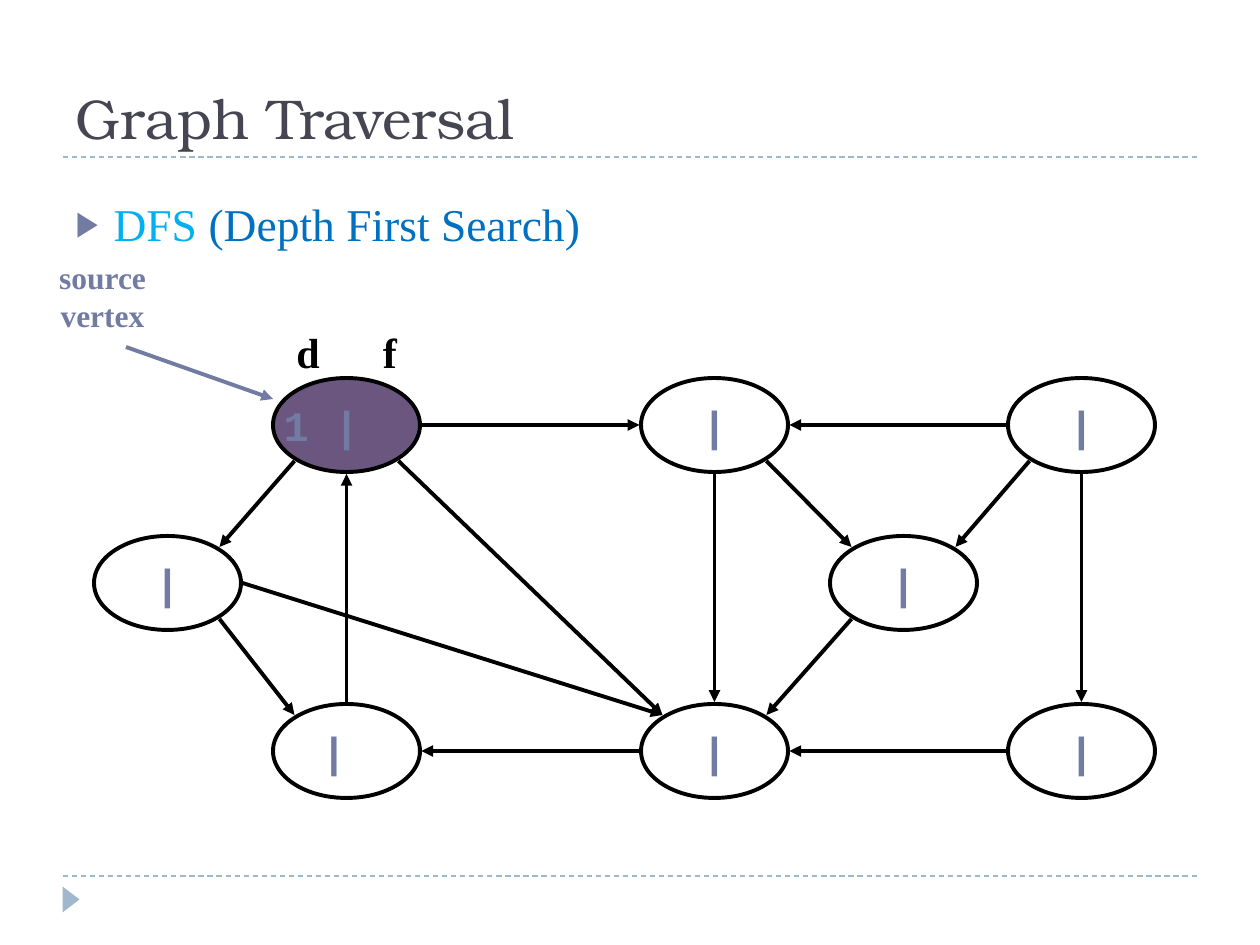
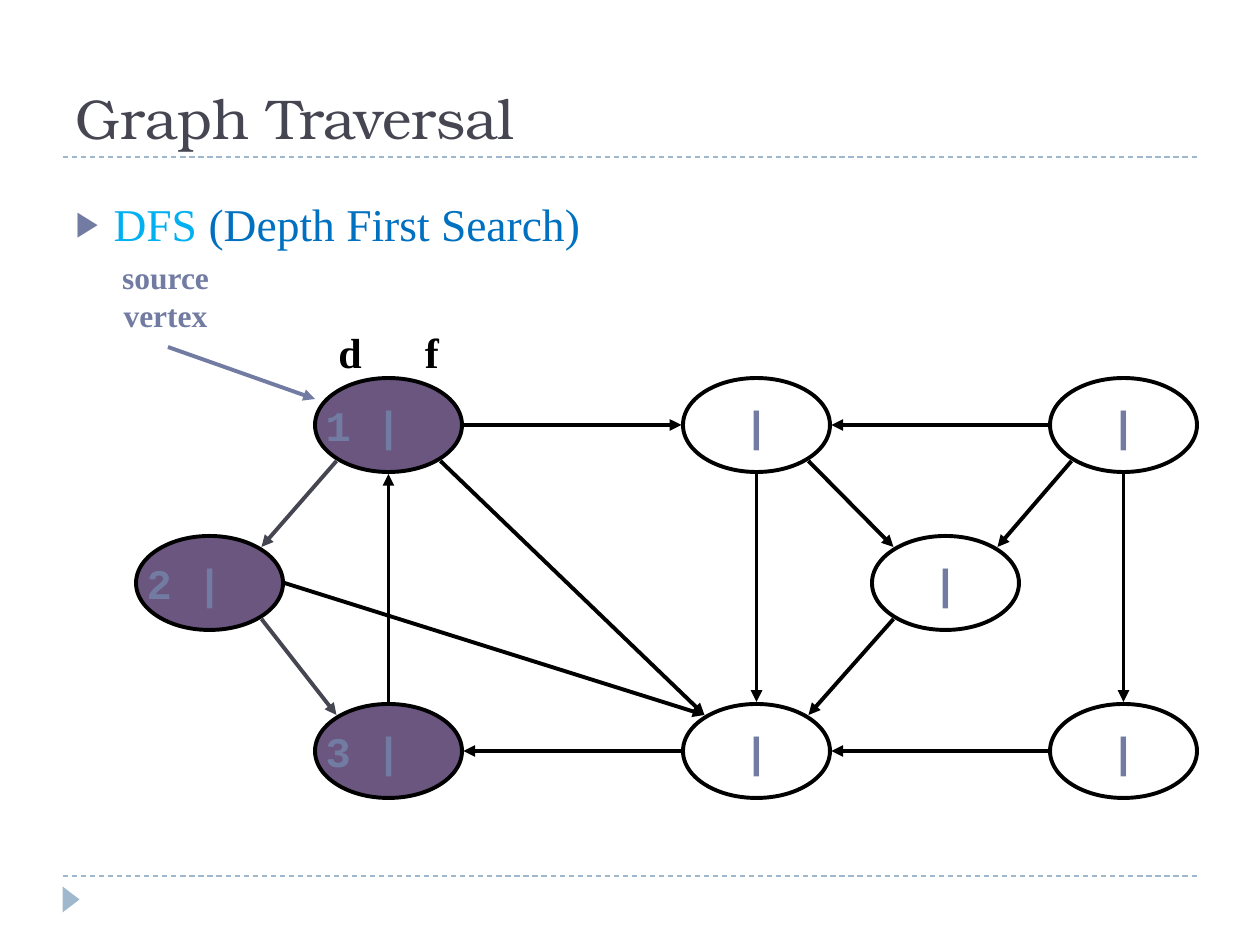
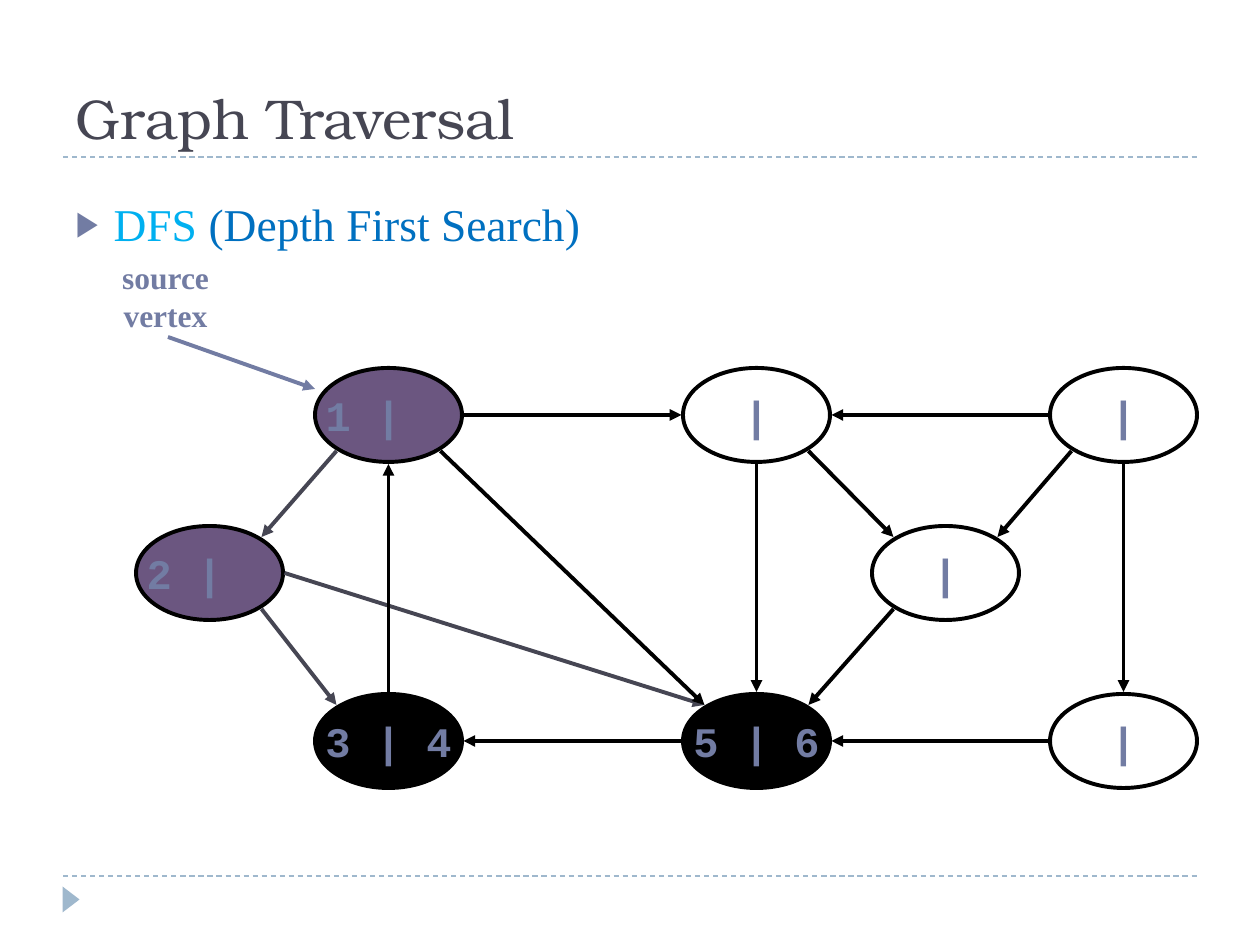
from lxml import etree
from pptx import Presentation
from pptx.dml.color import RGBColor
from pptx.enum.dml import MSO_LINE
from pptx.enum.shapes import MSO_CONNECTOR, MSO_SHAPE
from pptx.enum.text import MSO_ANCHOR as ANCHOR, PP_ALIGN as ALIGN
from pptx.oxml.ns import qn
from pptx.util import Pt

EMU_PER_PX = 914400 / 126

COLORS = {
    "title": "464653", "accent": "727CA3", "rule": "9FB8CD",
    "cyan": "00B0F0", "blue": "0070C0", "black": "000000",
    "visited": "6B5680", "finished": "000000", "explored": "464653",
}
TITLE_FONT, TEXT_FONT, LABEL_FONT = "TeX Gyre Bonum", "Times New Roman", "Courier New"

NODE_W, NODE_H = 147, 94
CHAR_W = 25  # one character of a vertex label

# Offset of each vertex from the source vertex
VERTICES = {
    "source": (0, 0), "top": (368, 0), "top right": (735, 0),
    "bottom right": (735, 326), "bottom": (368, 326), "bottom left": (0, 326),
    "left": (-179, 158), "middle": (557, 158),
}
EDGES = [
    ("source", "sw", "left", "ne"), ("left", "se", "bottom left", "nw"),
    ("left", "e", "bottom", "nw"), ("bottom", "w", "bottom left", "e"),
    ("bottom left", "n", "source", "s"), ("source", "se", "bottom", "nw"),
    ("top", "s", "bottom", "n"), ("source", "e", "top", "w"),
    ("top right", "w", "top", "e"), ("top", "se", "middle", "nw"),
    ("top right", "sw", "middle", "ne"), ("top right", "s", "bottom right", "n"),
    ("bottom right", "w", "bottom", "e"), ("middle", "sw", "bottom", "ne"),
]


def px(length):
    return round(length * EMU_PER_PX)


def rgb(name):
    return RGBColor.from_string(COLORS[name])


def write(paragraph, text, size=24, font=TEXT_FONT, color="black", bold=False, align=None):
    """Append formatted text; a newline becomes a line break."""
    if align is not None:
        paragraph.alignment = align
    for number, line in enumerate(text.split("\n")):
        if number:
            paragraph.add_line_break()
        run = paragraph.add_run()
        run.text = line
        run.font.size, run.font.name, run.font.bold = Pt(size), font, bold
        run.font.color.rgb = rgb(color)


def place(shape, x, y, w, h):
    shape.left, shape.top, shape.width, shape.height = map(px, (x, y, w, h))


def port(corner, side):
    """Point just outside a vertex in a compass direction."""
    east = ("e" in side) - ("w" in side)
    south = ("s" in side) - ("n" in side)
    reach_x, reach_y = (52, 36) if east and south else (75, 49)
    x, y = corner
    return x + NODE_W / 2 + east * reach_x, y + NODE_H / 2 + south * reach_y


class Deck:
    def __init__(self):
        self.prs = Presentation()
        self.prs.slide_width, self.prs.slide_height = px(1260), px(945)
        self.slide = None

    def new_slide(self, title):
        self.slide = self.prs.slides.add_slide(self.prs.slide_layouts[1])
        for y in (876, 157):
            self.line((63, y), (1197, y), color="rule", width=0.75, dashed=True)
        marker = self.shape(MSO_SHAPE.ISOSCELES_TRIANGLE, 58, 891, 26, 17, fill="rule")
        marker.rotation = 90
        heading = self.slide.shapes.title
        place(heading, 63, 21, 1134, 136)
        heading.text_frame.vertical_anchor = ANCHOR.BOTTOM
        write(heading.text_frame.paragraphs[0], title, size=32, font=TITLE_FONT,
              color="title", align=ALIGN.LEFT)

    def bullet(self, parts):
        body = self.slide.placeholders[1]
        place(body, 63, 116, 1134, 734)
        body.text_frame.margin_top = px(80)
        paragraph = body.text_frame.paragraphs[0]
        paragraph.space_before = Pt(0)
        for text, color in parts:
            write(paragraph, text, size=26, color=color)
        props = paragraph._p.get_or_add_pPr()
        props.set("marL", str(px(38)))
        props.set("indent", str(px(-38)))
        bullet_color = etree.SubElement(props, qn("a:buClr"))
        etree.SubElement(bullet_color, qn("a:srgbClr"), val=COLORS["accent"])
        etree.SubElement(props, qn("a:buSzPct"), val="76000")
        etree.SubElement(props, qn("a:buChar"), char="▶")

    def shape(self, kind, x, y, w, h, fill=None, outline=None):
        shape = self.slide.shapes.add_shape(kind, *map(px, (x, y, w, h)))
        shape.shadow.inherit = False
        if fill:
            shape.fill.solid()
            shape.fill.fore_color.rgb = rgb(fill)
        else:
            shape.fill.background()
        if outline:
            shape.line.color.rgb = rgb(outline)
            shape.line.width = Pt(2.25)
        else:
            shape.line.fill.background()
        return shape

    def line(self, start, end, color="black", width=2.25, dashed=False, arrow=False):
        connector = self.slide.shapes.add_connector(
            MSO_CONNECTOR.STRAIGHT, *map(px, (*start, *end)))
        connector.line.color.rgb = rgb(color)
        connector.line.width = Pt(width)
        if dashed:
            connector.line.dash_style = MSO_LINE.DASH
        if arrow:
            etree.SubElement(connector.line._get_or_add_ln(), qn("a:tailEnd"), type="triangle")
        etree.SubElement(connector._element.spPr, qn("a:effectLst"))

    def label(self, text, x, y, w, h, anchor=ANCHOR.TOP, **style):
        frame = self.slide.shapes.add_textbox(*map(px, (x, y, w, h))).text_frame
        frame.word_wrap = False
        frame.vertical_anchor = anchor
        write(frame.paragraphs[0], text, bold=True, align=ALIGN.CENTER, **style)

    def vertex(self, corner, text="|", fill=None, missing=0):
        """Draw a vertex; missing counts the characters absent right of the bar."""
        oval = self.shape(MSO_SHAPE.OVAL, *corner, NODE_W, NODE_H, fill, "black")
        frame = oval.text_frame
        frame.word_wrap = False
        frame.vertical_anchor = ANCHOR.MIDDLE
        frame.margin_left, frame.margin_right = 0, px(CHAR_W * missing)
        write(frame.paragraphs[0], text, font=LABEL_FONT, color="accent", bold=True,
              align=ALIGN.CENTER)

    def graph(self, origin, states, explored):
        x, y = origin
        corners = {name: (x + dx, y + dy) for name, (dx, dy) in VERTICES.items()}
        for name, corner in corners.items():
            self.vertex(corner, *states.get(name, ()))
        for tail, tail_side, head, head_side in EDGES:
            self.line(port(corners[tail], tail_side), port(corners[head], head_side),
                      color="explored" if (tail, head) in explored else "black", arrow=True)
        self.line((x - NODE_W, y - 31), (x, y + 21), color="accent", arrow=True)


def main():
    first, second, third = [("1 |", "visited", 2), ("2 |", "visited", 2), ("3 |", "visited", 2)]
    path_edges = {("source", "left"), ("left", "bottom left")}
    # Source vertex corner, x of its caption, d/f headings, vertex states, explored edges
    steps = [
        ((273, 378), 42, True, {"source": first, "bottom left": ("|", None, 1)}, set()),
        ((315, 378), 105, True,
         {"source": first, "left": second, "bottom left": third}, path_edges),
        ((315, 368), 105, False,
         {"source": first, "left": second, "bottom left": ("3 | 4", "finished"),
          "bottom": ("5 | 6", "finished")}, path_edges | {("left", "bottom")}),
    ]
    deck = Deck()
    for origin, caption_x, has_headings, states, explored in steps:
        deck.new_slide("Graph Traversal")
        deck.bullet([("DFS ", "cyan"), ("(Depth First Search)", "blue")])
        deck.label("source\nvertex", caption_x, 252, 121, 97, size=18, color="accent")
        deck.graph(origin, states, explored)
        if has_headings:
            x, y = origin
            for heading, center in (("d", 35), ("f", 117)):
                deck.label(heading, x + center - 25, y - 73, 50, NODE_H, ANCHOR.MIDDLE)
    deck.prs.save("out.pptx")


if __name__ == "__main__":
    main()
